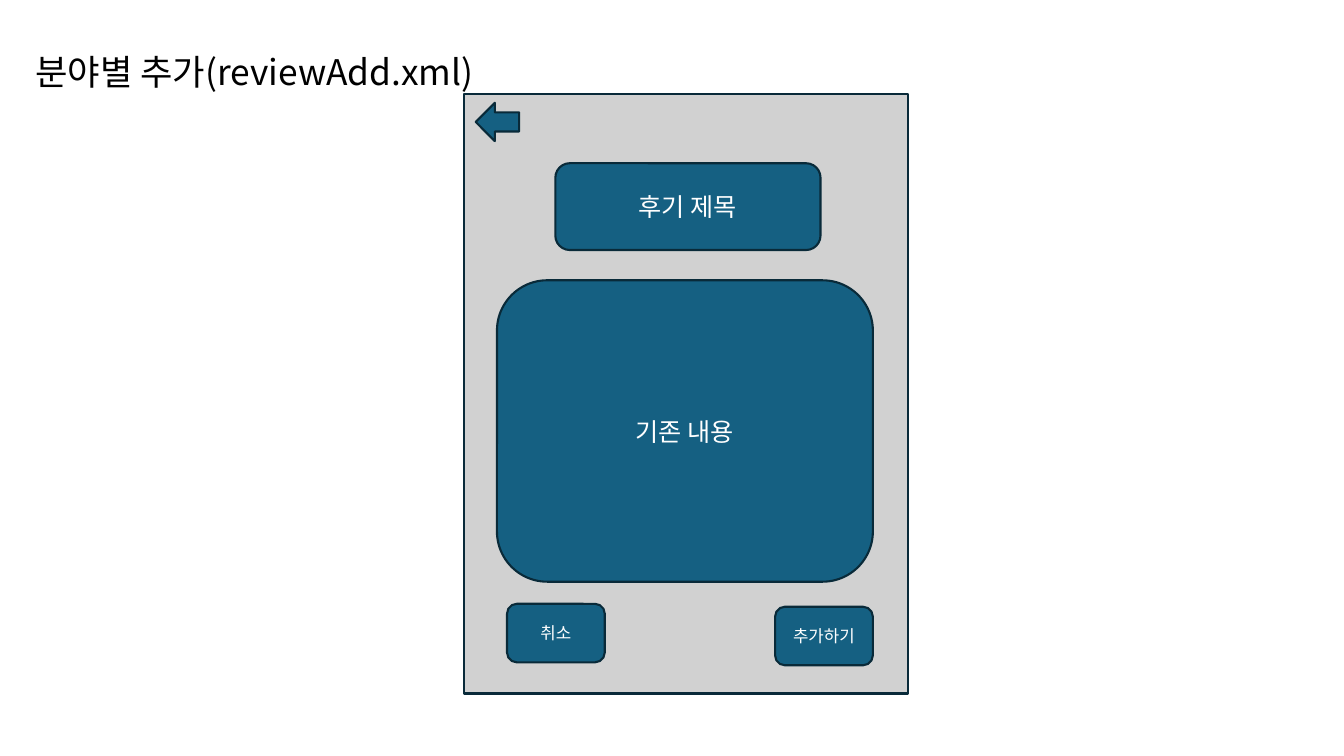
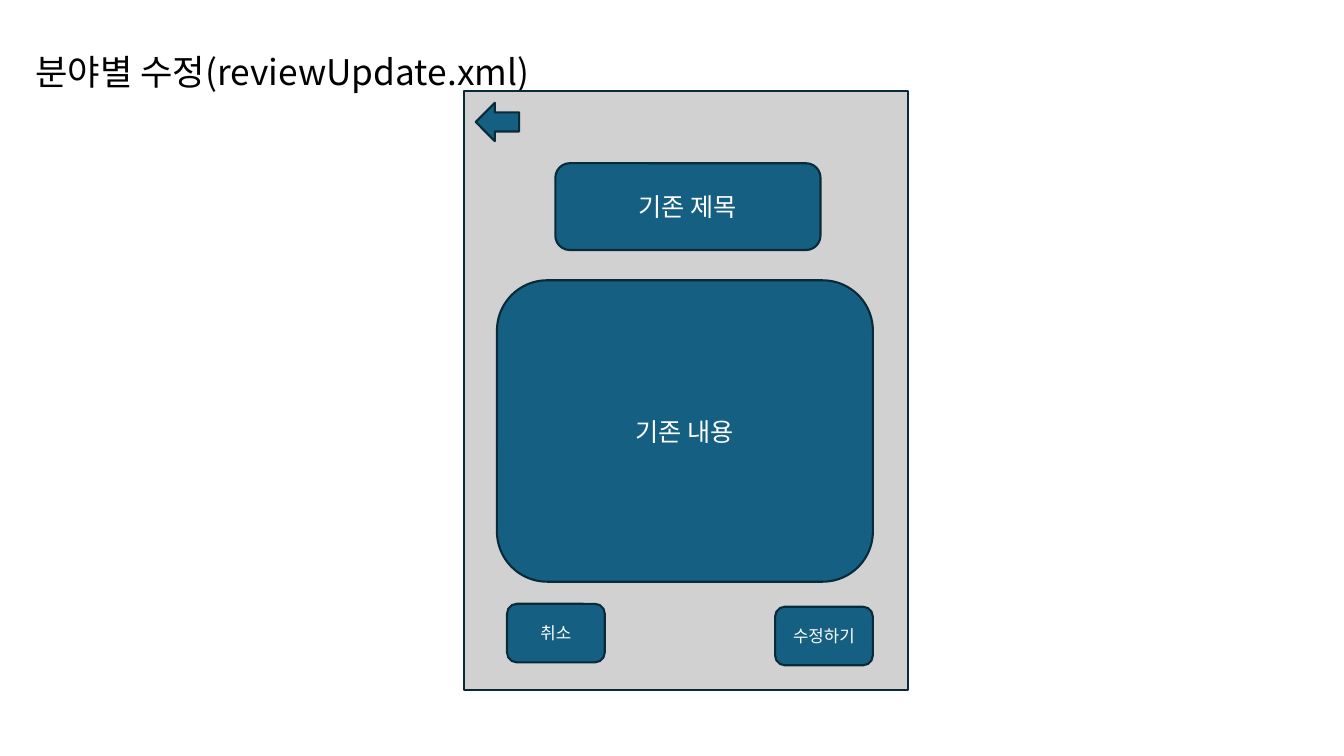
from dataclasses import dataclass

from pptx import Presentation
from pptx.dml.color import RGBColor
from pptx.enum import shapes, text
from pptx.oxml import ns, xmlchemy
from pptx.shapes.autoshape import Shape
from pptx.slide import Slide
from pptx.text.text import TextFrame
from pptx.util import Pt


@dataclass(frozen=True)
class Theme:
    font: str = "Noto Sans CJK KR"
    ink: str = "000000"
    label: str = "FFFFFF"
    screen: str = "D1D1D1"
    control: str = "156082"
    outline: str = "092A39"
    outline_width: float = 1.5
    title_size: float = 25.2
    field_size: float = 18
    button_size: float = 12


@dataclass(frozen=True)
class Box:
    left: float
    top: float
    width: float
    height: float


@dataclass(frozen=True)
class ReviewScreen:
    title: str
    title_width: float
    screen_top: float
    subject: str
    submit: str


THEME = Theme()
RECT = shapes.MSO_SHAPE.RECTANGLE
ROUNDED = shapes.MSO_SHAPE.ROUNDED_RECTANGLE
ARROW = shapes.MSO_SHAPE.LEFT_ARROW

SUBJECT = Box(396.7, 116.6, 189.4, 62)
CONTENT = Box(339.8, 200.2, 268.6, 215.3)
BACK = Box(339.8, 73.4, 31, 27.4)
CANCEL = Box(362.2, 431.3, 69.8, 41.8)
SUBMIT = Box(553.7, 433.4, 69.8, 41.8)
CONTENT = Box(355, 200.2, SUBMIT.left + SUBMIT.width - 355, 215.3)

SCREENS = [
    ReviewScreen("분야별 추가(reviewAdd.xml)", 330.5, 67, "후기 제목", "추가하기"),
    ReviewScreen("분야별 수정(reviewUpdate.xml)", 378.7, 64.8, "기존 제목", "수정하기"),
]


def place(shape: Shape, box: Box) -> None:
    shape.left, shape.top = Pt(box.left), Pt(box.top)
    shape.width, shape.height = Pt(box.width), Pt(box.height)


def write(frame: TextFrame, wording: str, *, size: float, color: str,
          align: text.PP_ALIGN = text.PP_ALIGN.CENTER,
          line_spacing: float = 1.0) -> None:
    """Fill the frame with one formatted, vertically centred paragraph."""
    frame.word_wrap = True
    frame.auto_size = text.MSO_AUTO_SIZE.NONE
    frame.vertical_anchor = text.MSO_ANCHOR.MIDDLE
    paragraph = frame.paragraphs[0]
    paragraph.alignment = align
    paragraph.line_spacing = line_spacing
    run = paragraph.add_run()
    run.text = wording
    run.font.size = Pt(size)
    run.font.name = THEME.font
    run.font.color.rgb = RGBColor.from_string(color)
    east_asian = xmlchemy.OxmlElement("a:ea")
    east_asian.set("typeface", THEME.font)
    run.font._element.find(ns.qn("a:latin")).addnext(east_asian)


def add_part(slide: Slide, kind: shapes.MSO_SHAPE, box: Box, *,
             fill: str = THEME.control, label: str = "",
             size: float = THEME.field_size) -> None:
    part = slide.shapes.add_shape(
        kind, Pt(box.left), Pt(box.top), Pt(box.width), Pt(box.height))
    part.shadow.inherit = False
    part.fill.solid()
    part.fill.fore_color.rgb = RGBColor.from_string(fill)
    part.line.color.rgb = RGBColor.from_string(THEME.outline)
    part.line.width = Pt(THEME.outline_width)
    if label:
        write(part.text_frame, label, size=size, color=THEME.label)


def add_review_slide(deck: Presentation, screen: ReviewScreen) -> None:
    slide = deck.slides.add_slide(deck.slide_layouts.get_by_name("Title Only"))
    title = slide.shapes.title
    place(title, Box(18, 33.1, screen.title_width, 40.3))
    write(title.text_frame, screen.title, size=THEME.title_size, color=THEME.ink,
          align=text.PP_ALIGN.LEFT, line_spacing=0.9)

    add_part(slide, RECT, Box(331.2, screen.screen_top, 317.5, 428.4),
             fill=THEME.screen)
    add_part(slide, ARROW, BACK)
    add_part(slide, ROUNDED, SUBJECT, label=screen.subject)
    add_part(slide, ROUNDED, CONTENT, label="기존 내용")
    for box, label in ((CANCEL, "취소"), (SUBMIT, screen.submit)):
        add_part(slide, ROUNDED, box, label=label, size=THEME.button_size)


def main() -> None:
    deck = Presentation()
    deck.slide_width, deck.slide_height = Pt(960), Pt(540)
    for screen in SCREENS:
        add_review_slide(deck, screen)
    deck.save("out.pptx")


if __name__ == "__main__":
    main()
